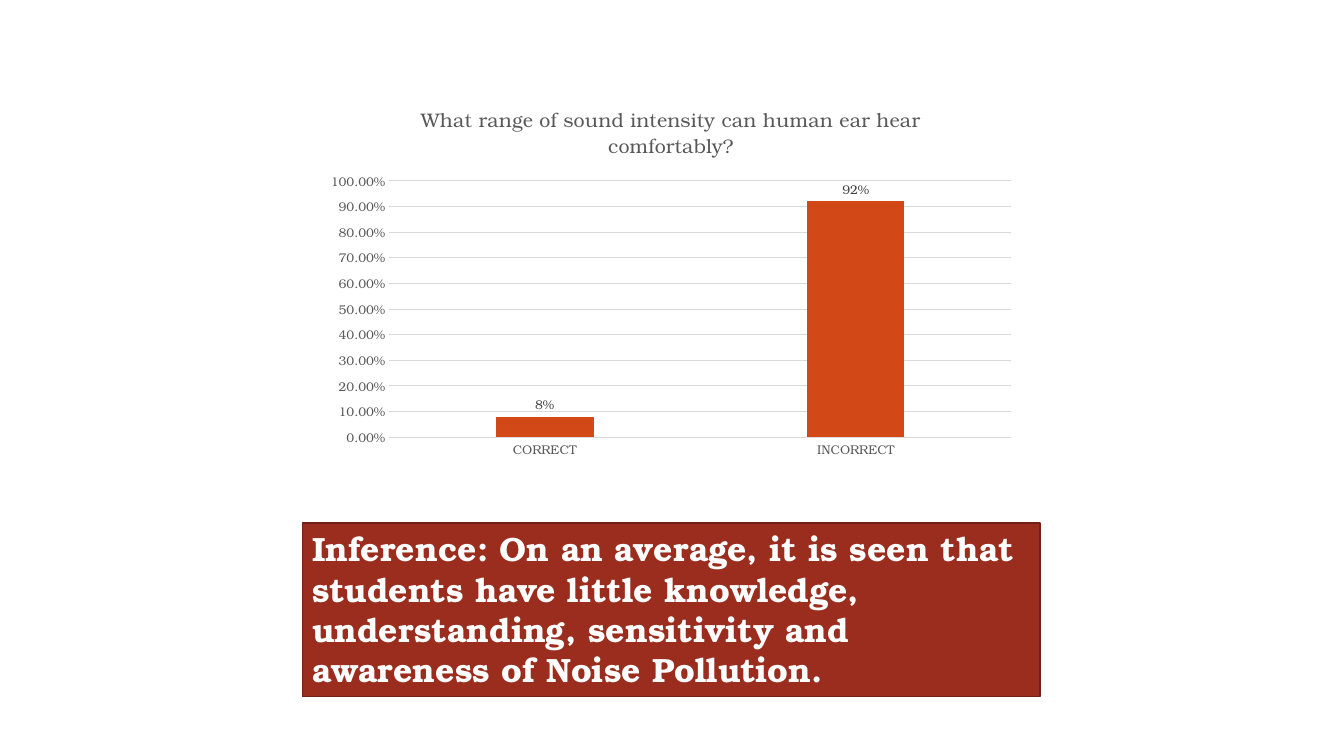
import pptx
import pptx.util
import pptx.chart.data
import pptx.dml.color
import pptx.enum.chart
import pptx.enum.shapes
import pptx.enum.text

Pt = pptx.util.Pt
FACE = "TeX Gyre Bonum"
HUES = {"bar": "D34817", "box": "9B2D1F", "edge": "732117", "grid": "D9D9D9",
        "gray": "595959", "label": "404040", "white": "FFFFFF"}


def paint(part, hue):
    part.solid()
    part.fore_color.rgb = pptx.dml.color.RGBColor.from_string(HUES[hue])


def write(frame, text, size=24, hue="white", bold=False, align="LEFT"):
    par = frame.paragraphs[0]
    par.alignment = getattr(pptx.enum.text.PP_ALIGN, align)
    run = par.add_run()
    run.text = text
    run.font.name = FACE
    run.font.size = Pt(size)
    run.font.bold = bold
    paint(run.font.fill, hue)


deck = pptx.Presentation()
deck.slide_width = pptx.util.Inches(13.33)
deck.slide_height = pptx.util.Inches(7.5)
wide, high = deck.slide_width, deck.slide_height
slide = deck.slides.add_slide(deck.slide_layouts[6])

data = pptx.chart.data.CategoryChartData(number_format="0%")
data.categories = ["CORRECT", "INCORRECT"]
data.add_series("Series 1", [0.08, 0.92])
chart = slide.shapes.add_chart(
    pptx.enum.chart.XL_CHART_TYPE.COLUMN_CLUSTERED,
    int(wide * 0.2356), int(high * 0.116), int(wide * 0.5274), int(high * 0.5), data).chart
chart.has_legend = False
chart.font.name = FACE
chart.font.size = Pt(10)
chart.has_title = True
chart.chart_title.include_in_layout = False
write(chart.chart_title.text_frame,
      "What range of sound intensity can human ear hear comfortably?",
      size=14, hue="gray", align="CENTER")

cats, vals = chart.category_axis, chart.value_axis
for axis in (cats, vals):
    axis.major_tick_mark = pptx.enum.chart.XL_TICK_MARK.NONE
    axis.minor_tick_mark = pptx.enum.chart.XL_TICK_MARK.NONE
    axis.tick_labels.font.name = FACE
    axis.tick_labels.font.size = Pt(9)
    paint(axis.tick_labels.font.fill, "gray")
vals.minimum_scale, vals.maximum_scale, vals.major_unit = 0, 1, 0.1
vals.tick_labels.number_format = "0.00%"
vals.tick_labels.number_format_is_linked = False
vals.format.line.fill.background()
for line in (cats.format.line, vals.major_gridlines.format.line):
    paint(line.fill, "grid")
    line.width = Pt(0.75)

plot = chart.plots[0]
plot.vary_by_categories = False
plot.gap_width = 219
plot.overlap = -27
bars = plot.series[0]
paint(bars.format.fill, "bar")
tags = bars.data_labels
tags.show_value = True
tags.position = pptx.enum.chart.XL_LABEL_POSITION.OUTSIDE_END
tags.number_format = "0%"
tags.number_format_is_linked = False
tags.font.name = FACE
tags.font.size = Pt(9)
paint(tags.font.fill, "label")

box = slide.shapes.add_shape(
    pptx.enum.shapes.MSO_SHAPE.RECTANGLE,
    int(wide * 0.225), int(high * 0.692), int(wide * 0.549), int(high * 0.2293))
box.shadow.inherit = False
paint(box.fill, "box")
paint(box.line.fill, "edge")
box.line.width = Pt(1)
box.text_frame.word_wrap = True
box.text_frame.vertical_anchor = pptx.enum.text.MSO_ANCHOR.TOP
write(box.text_frame,
      "Inference: On an average, it is seen that students have little knowledge, "
      "understanding, sensitivity and awareness of Noise Pollution.", bold=True)

deck.save("out.pptx")
